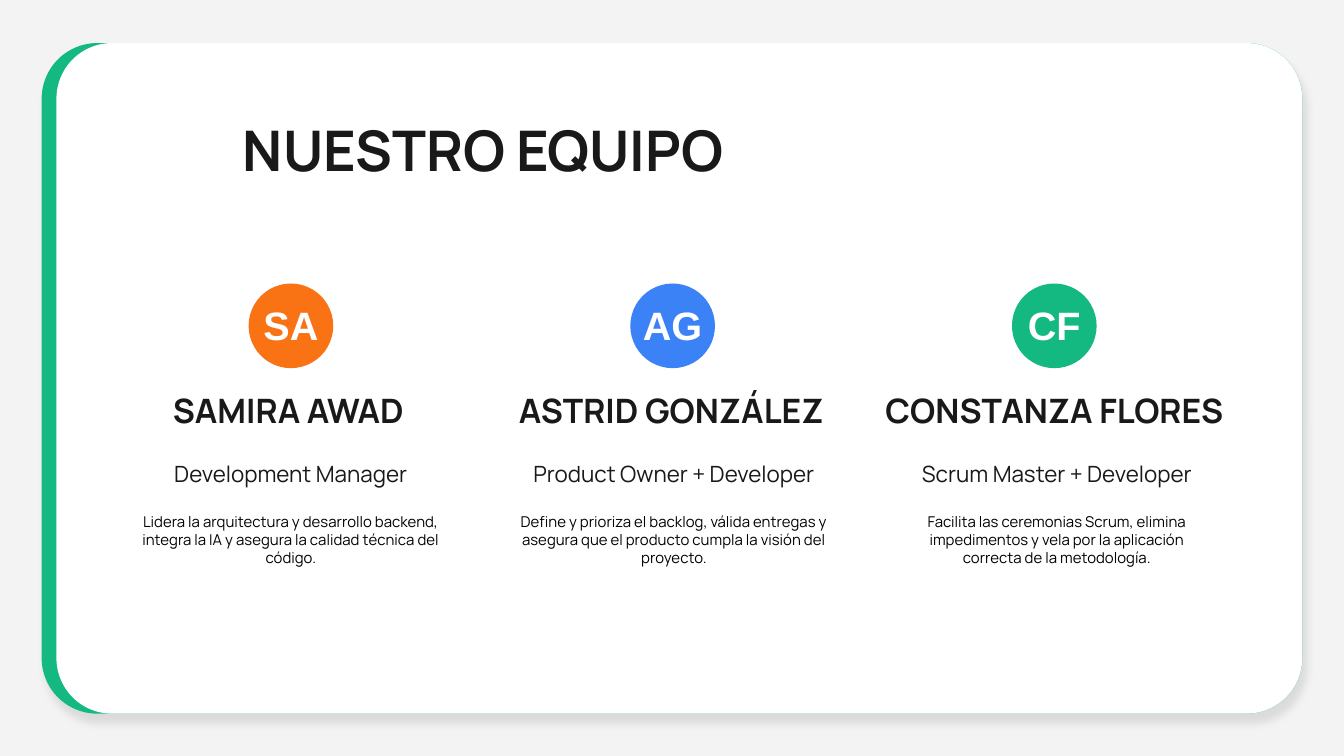
from lxml import etree
from pptx import Presentation
from pptx.dml.color import RGBColor
from pptx.enum.shapes import MSO_SHAPE
from pptx.enum.text import MSO_ANCHOR, PP_ALIGN
from pptx.oxml.ns import qn
from pptx.util import Inches, Pt

ROUNDED, OVAL = MSO_SHAPE.ROUNDED_RECTANGLE, MSO_SHAPE.OVAL
TOP, MIDDLE = MSO_ANCHOR.TOP, MSO_ANCHOR.MIDDLE
LEFT, CENTER = PP_ALIGN.LEFT, PP_ALIGN.CENTER

WIDTH = Inches(10)
HEIGHT = WIDTH * 9 // 16
BADGE_LEFT, BADGE_STEP, BADGE_SIZE = 1.85, 2.84, 0.63
NAME_LEFT, DETAIL_LEFT, TEXT_STEP = 0.77, 0.9, 2.85
GREEN, INK, WHITE = "13B981", "191919", "FFFFFF"

TITLE = {"name": "Manrope", "size": Pt(30), "bold": True}
NAME = {"name": "Manrope", "size": Pt(18), "bold": True}
ROLE = {"name": "Manrope", "size": Pt(12)}
DUTY = {"name": "Manrope", "size": Pt(8)}
INITIALS = {"name": "Arial", "size": Pt(21.2), "bold": True}

TEAM = [
    ("SA", "F97315", "SAMIRA AWAD", "Development Manager",
     "Lidera la arquitectura y desarrollo backend, integra la IA y asegura "
     "la calidad técnica del código."),
    ("AG", "3B82F6", "ASTRID GONZÁLEZ", "Product Owner + Developer",
     "Define y prioriza el backlog, válida entregas y asegura que el producto "
     "cumpla la visión del proyecto."),
    ("CF", GREEN, "CONSTANZA FLORES", "Scrum Master + Developer",
     "Facilita las ceremonias Scrum, elimina impedimentos y vela por la "
     "aplicación correcta de la metodología."),
]


def paint(color_format, color):
    color_format.rgb = RGBColor.from_string(color)


def add_shape(page, kind, left, top, width, height, color):
    shape = page.shapes.add_shape(
        kind, Inches(left), Inches(top), Inches(width), Inches(height))
    shape.shadow.inherit = False
    shape.fill.solid()
    paint(shape.fill.fore_color, color)
    shape.line.fill.background()
    return shape


def add_card(page, left, color):
    """Rounded panel whose right edge is the same for every card."""
    card = add_shape(page, ROUNDED, left, 0.32, 9.69 - left, 4.99, color)
    card.adjustments[0] = 0.083
    return card


def add_soft_shadow(shape):
    effects = shape._element.spPr.find(qn("a:effectLst"))
    shadow = etree.SubElement(
        effects, qn("a:outerShdw"), blurRad=str(Pt(4.5)), dist=str(Pt(6)),
        dir=str(68 * 60000), algn="bl", rotWithShape="0")
    tint = etree.SubElement(shadow, qn("a:srgbClr"), val="000000")
    etree.SubElement(tint, qn("a:alpha"), val="10000")


def add_text(page, left, top, width, height, lines, anchor=TOP,
             align=CENTER, inset=0.1, gap=0):
    """Text box; lines holds (text, font values, colour) per paragraph."""
    box = page.shapes.add_textbox(
        Inches(left), Inches(top), Inches(width), Inches(height))
    frame = box.text_frame
    frame.word_wrap = True
    frame.vertical_anchor = anchor
    for side in ("left", "top", "right", "bottom"):
        setattr(frame, f"margin_{side}", Inches(inset))
    for index, (text, font, color) in enumerate(lines):
        para = frame.add_paragraph() if index else frame.paragraphs[0]
        para.alignment = align
        para.space_before = Pt(gap if index else 0)
        span = para.add_run()
        span.text = text
        for key, value in font.items():
            setattr(span.font, key, value)
        paint(span.font.color, color)


def add_member(page, column, initials, color, name, role, duty):
    badge_left = BADGE_LEFT + column * BADGE_STEP
    text_shift = column * TEXT_STEP
    add_text(page, DETAIL_LEFT + text_shift, 3.32, 2.53, 1.08,
             [(role, ROLE, INK), (duty, DUTY, "000000")], gap=14)
    add_text(page, NAME_LEFT + text_shift, 2.82, 2.75, 0.47,
             [(name, NAME, INK)], anchor=MIDDLE)
    add_shape(page, OVAL, badge_left, 2.11, BADGE_SIZE, BADGE_SIZE, color)
    add_text(page, badge_left, 2.17, BADGE_SIZE, 0.5,
             [(initials, INITIALS, WHITE)], inset=0.07)


def main():
    deck = Presentation()
    deck.slide_width, deck.slide_height = WIDTH, HEIGHT
    page = deck.slides.add_slide(deck.slide_layouts[6])
    page.background.fill.solid()
    paint(page.background.fill.fore_color, "F3F3F3")

    add_soft_shadow(add_card(page, 0.31, GREEN))
    add_card(page, 0.42, WHITE)
    add_text(page, 1.71, 0.76, 3.93, 0.63, [("NUESTRO EQUIPO", TITLE, INK)],
             align=LEFT)
    for column, member in enumerate(TEAM):
        add_member(page, column, *member)
    deck.save("out.pptx")


if __name__ == "__main__":
    main()
